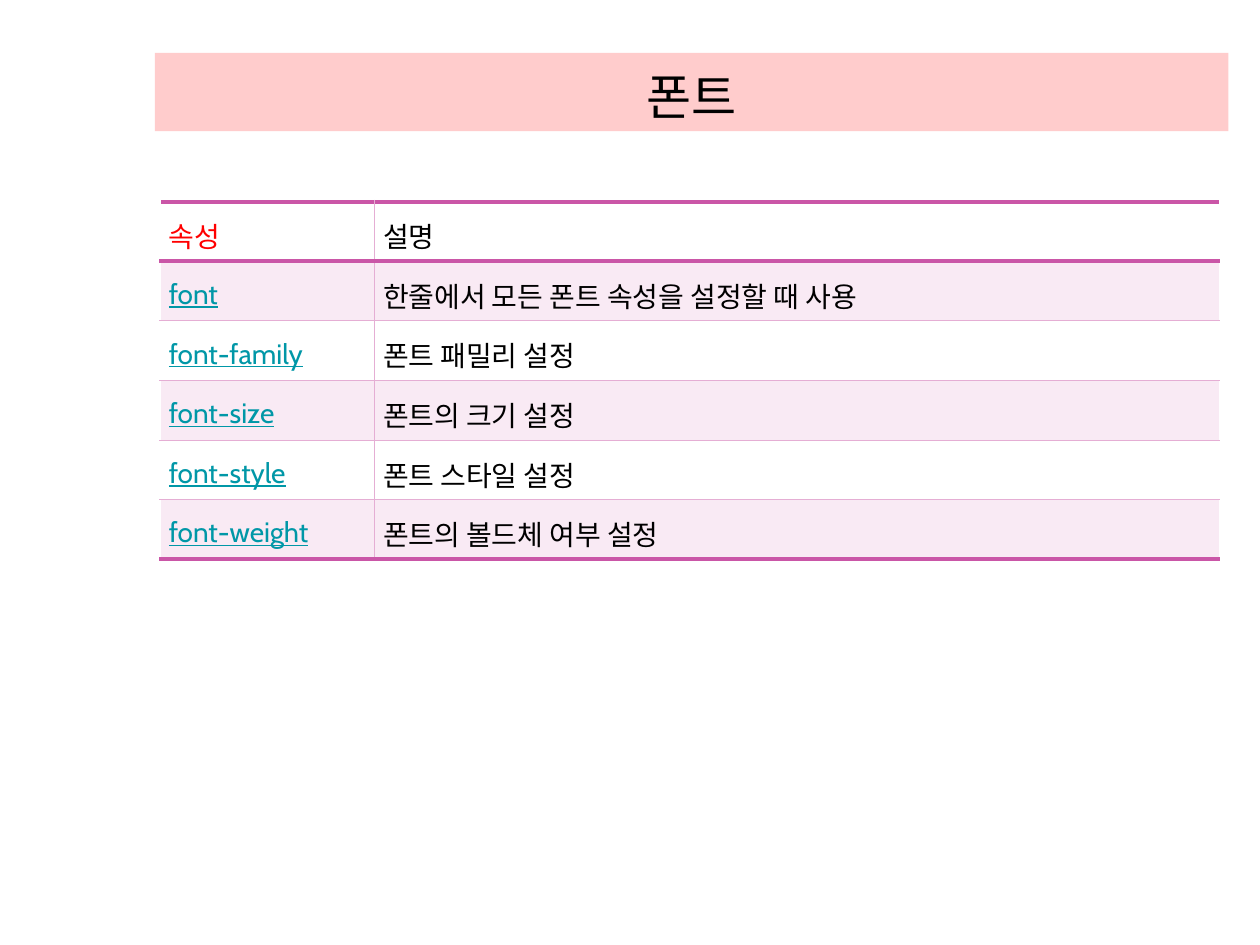
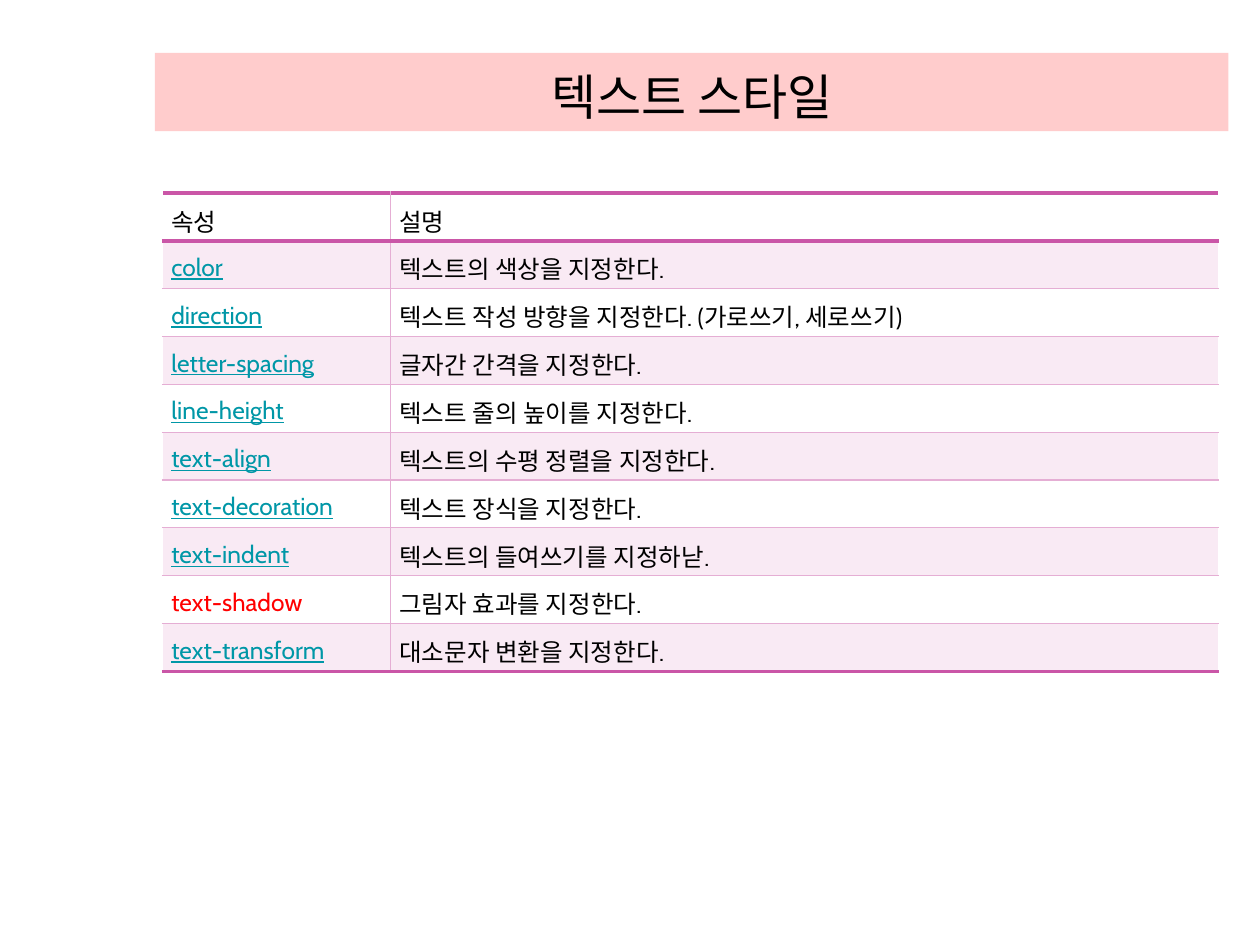
from lxml.etree import SubElement
from pptx import Presentation
from pptx.dml.color import RGBColor
from pptx.enum.shapes import MSO_SHAPE as Shape
from pptx.enum.text import MSO_ANCHOR as Anchor, PP_ALIGN as Align
from pptx.oxml.ns import qn
from pptx.util import Inches, Pt

BLACK, WHITE, RED = "000000", "FFFFFF", "FF0000"
BAND, LINK, STRIPE = "FFCCCC", "0097A7", "F9EAF4"
THICK, THIN = ("CA56A7", 2.55), ("E5AED4", 0.75)
TITLE_BOX = (1.23, 0.42, 8.52, 0.62)

SLIDES = [
    {
        "title": "폰트",
        "box": (1.27, 1.6, 8.41, 2.84),
        "name_width": 1.7,
        "size": 16,
        "red_names": {"속성"},
        "rows": [
            ("속성", "설명"),
            ("font", "한줄에서 모든 폰트 속성을 설정할 때 사용"),
            ("font-family", "폰트 패밀리 설정"),
            ("font-size", "폰트의 크기 설정"),
            ("font-style", "폰트 스타일 설정"),
            ("font-weight", "폰트의 볼드체 여부 설정"),
        ],
    },
    {
        "title": "텍스트 스타일",
        "box": (1.29, 1.53, 8.38, 3.79),
        "name_width": 1.81,
        "size": 14,
        "red_names": {"text-shadow"},
        "rows": [
            ("속성", "설명"),
            ("color", "텍스트의 색상을 지정한다."),
            ("direction", "텍스트 작성 방향을 지정한다. (가로쓰기, 세로쓰기)"),
            ("letter-spacing", "글자간 간격을 지정한다."),
            ("line-height", "텍스트 줄의 높이를 지정한다."),
            ("text-align", "텍스트의 수평 정렬을 지정한다."),
            ("text-decoration", "텍스트 장식을 지정한다."),
            ("text-indent", "텍스트의 들여쓰기를 지정하낟."),
            ("text-shadow", "그림자 효과를 지정한다."),
            ("text-transform", "대소문자 변환을 지정한다."),
        ],
    },
]


def color(hex_code):
    return RGBColor.from_string(hex_code)


def assign(target, values):
    for name, value in values.items():
        setattr(target, name, value)


def write(para, text, hex_code, para_format, font_format):
    assign(para, para_format)
    span = para.add_run()
    span.text = text
    assign(span.font, font_format)
    span.font.color.rgb = color(hex_code)


def add_title(page, box, text):
    band = page.shapes.add_shape(Shape.RECTANGLE, *map(Inches, box))
    band.shadow.inherit = False
    band.fill.solid()
    band.fill.fore_color.rgb = color(BAND)
    band.line.fill.background()
    band.text_frame.word_wrap = True
    band.text_frame.vertical_anchor = Anchor.BOTTOM
    write(band.text_frame.paragraphs[0], text, BLACK,
          {"alignment": Align.CENTER}, {"name": "Cambria", "size": Pt(28)})


def set_borders(cell, borders):
    props = cell._tc.get_or_add_tcPr()
    for side in "LRTB":
        if side in borders:
            hex_code, width = borders[side]
            line = SubElement(props, qn(f"a:ln{side}"), w=str(Pt(width)))
            fill = SubElement(line, qn("a:solidFill"))
            SubElement(fill, qn("a:srgbClr"), val=hex_code)


def add_property_table(page, box, name_width, size, red_names, rows):
    left, top, width, height = map(Inches, box)
    table = page.shapes.add_table(len(rows), 2, left, top, width, height).table
    assign(table, {"first_row": False, "horz_banding": False})
    table.columns[0].width = Inches(name_width)
    table.columns[1].width = width - Inches(name_width)
    last = len(rows) - 1
    for r, texts in enumerate(rows):
        for c, text in enumerate(texts):
            cell = table.cell(r, c)
            set_borders(cell, {
                "L" if c else "R": THIN,
                "T": THICK if r < 2 else THIN,
                "B": THICK if r in (0, last) else THIN,
            })
            cell.fill.solid()
            cell.fill.fore_color.rgb = color(STRIPE if r % 2 else WHITE)
            assign(cell, {
                "vertical_anchor": Anchor.MIDDLE,
                "margin_left": Inches(0.07), "margin_right": Inches(0.07),
                "margin_top": Inches(0.02), "margin_bottom": Inches(0.02),
            })
            is_red = text in red_names
            is_link = r > 0 and c == 0 and not is_red
            write(cell.text_frame.paragraphs[0], text,
                  RED if is_red else LINK if is_link else BLACK,
                  {"alignment": Align.JUSTIFY if r else Align.LEFT,
                   "line_spacing": 1.2},
                  {"name": "Cabin", "size": Pt(size), "underline": is_link})


def main():
    deck = Presentation()
    assign(deck, {"slide_width": Inches(10), "slide_height": Inches(7.5)})
    for content in SLIDES:
        page = deck.slides.add_slide(deck.slide_layouts[6])
        add_title(page, TITLE_BOX, content["title"])
        add_property_table(page, content["box"], content["name_width"],
                           content["size"], content["red_names"], content["rows"])
    deck.save("out.pptx")


if __name__ == "__main__":
    main()
